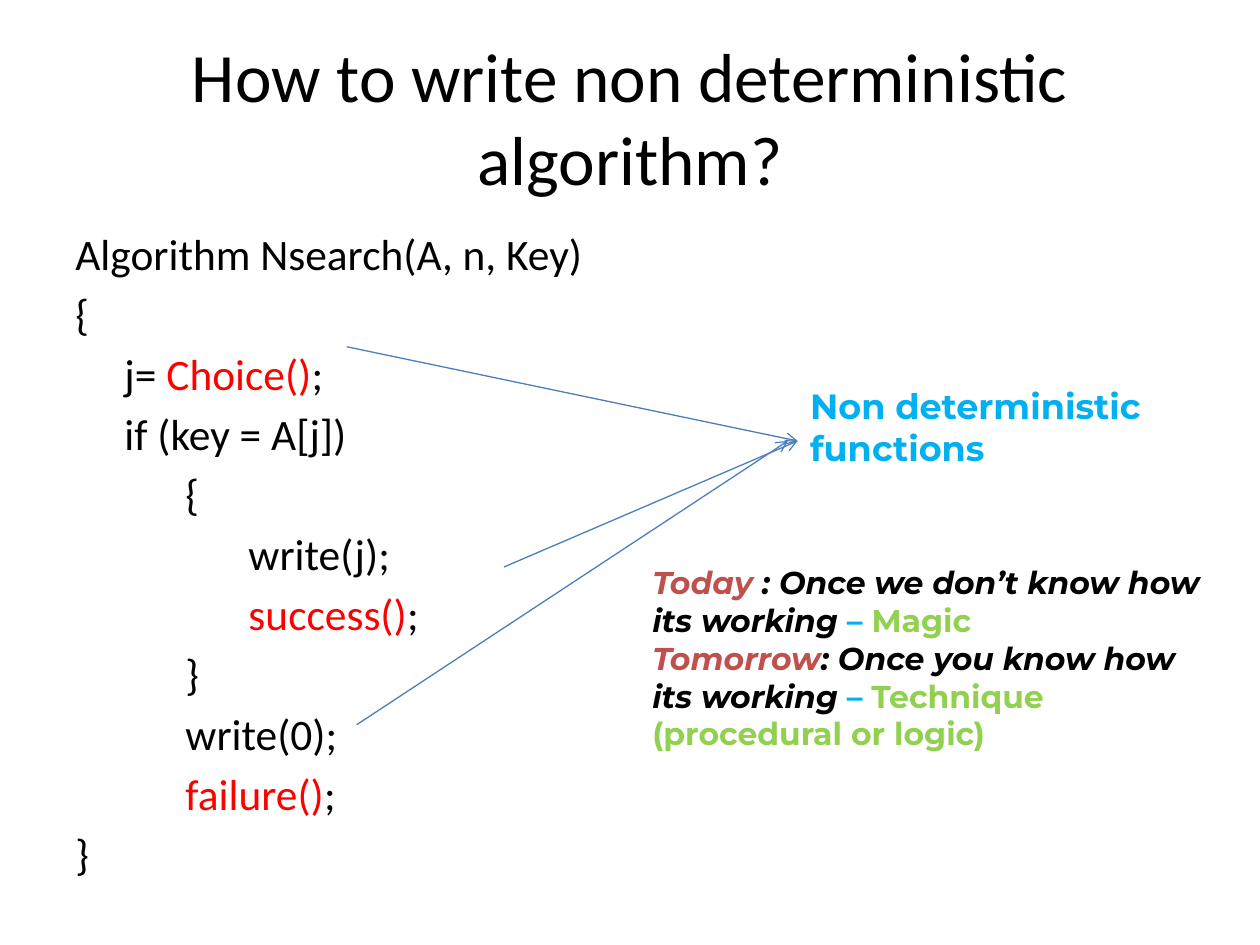
from dataclasses import dataclass
from typing import NamedTuple

from lxml import etree
from pptx import Presentation
from pptx.dml.color import RGBColor
from pptx.enum.shapes import MSO_CONNECTOR
from pptx.enum.text import MSO_ANCHOR, MSO_AUTO_SIZE, PP_ALIGN
from pptx.oxml.ns import qn
from pptx.util import Cm, Pt

STRAIGHT = MSO_CONNECTOR.STRAIGHT
TOP, MIDDLE = MSO_ANCHOR.TOP, MSO_ANCHOR.MIDDLE
LEFT, CENTER = PP_ALIGN.LEFT, PP_ALIGN.CENTER
NO_FIT, GROW = MSO_AUTO_SIZE.NONE, MSO_AUTO_SIZE.SHAPE_TO_FIT_TEXT

BLACK = RGBColor(0x00, 0x00, 0x00)
RED = RGBColor(0xFF, 0x00, 0x00)
SKY = RGBColor(0x00, 0xB0, 0xF0)
BRICK = RGBColor(0xC0, 0x50, 0x4D)
GREEN = RGBColor(0x92, 0xD0, 0x50)
ARROW_BLUE = RGBColor(0x4B, 0x7E, 0xBC)


class Span(NamedTuple):
    text: str
    color: RGBColor = BLACK
    italic: bool = False


class Arrow(NamedTuple):
    start_x: float
    start_y: float
    end_x: float
    end_y: float


@dataclass
class TextBlock:
    left: float
    top: float
    width: float
    height: float
    font: str
    size: float
    lines: list[list[Span]]
    bold: bool = False
    align: PP_ALIGN = LEFT
    anchor: MSO_ANCHOR = TOP
    fit: MSO_AUTO_SIZE = NO_FIT
    gap: float = 0
    hanging: float = 0


def call_line(indent: str, call: str) -> list[Span]:
    return [Span(indent), Span(call, RED), Span(";")]


TITLE = TextBlock(
    1.27, 0.76, 22.86, 3.18, "Calibri", 39.6,
    [[Span("How to write non deterministic algorithm?")]],
    align=CENTER, anchor=MIDDLE,
)
ALGORITHM = TextBlock(
    1.27, 4.45, 22.86, 12.57, "Calibri", 24.8,
    [
        [Span("Algorithm Nsearch(A, n, Key)")],
        [Span("{")],
        call_line("     j= ", "Choice()"),
        [Span("     if (key = A[j])")],
        [Span("\t\t{")],
        [Span("\t\t\twrite(j);")],
        call_line("\t\t\t", "success()"),
        [Span("\t\t}")],
        [Span("\t\twrite(0);")],
        call_line("\t\t", "failure()"),
        [Span("}")],
    ],
    gap=4.5, hanging=0.95,
)
FUNCTIONS_LABEL = TextBlock(
    16.08, 7.62, 8.26, 2.82, "Montserrat", 20,
    [[Span("Non deterministic", SKY)], [Span("functions", SKY)]],
    bold=True, fit=GROW,
)
MAGIC_NOTE = TextBlock(
    12.9, 11.23, 11.63, 4.88, "Montserrat", 18,
    [
        [
            Span("Today ", BRICK, True),
            Span(": Once we don’t know how its working", BLACK, True),
            Span(" – ", SKY),
            Span("Magic", GREEN),
        ],
        [
            Span("Tomorrow", BRICK, True),
            Span(": Once you know how its working ", BLACK, True),
            Span("– ", SKY),
            Span("Technique (procedural or logic)", GREEN),
        ],
    ],
    bold=True, fit=GROW,
)
ARROWS = [
    Arrow(6.99, 6.99, 16.08, 8.89),
    Arrow(10.16, 11.43, 16.08, 8.89),
    Arrow(7.19, 14.61, 15.88, 8.89),
]


def draw_text(page, block: TextBlock) -> None:
    box = page.shapes.add_textbox(
        Cm(block.left), Cm(block.top), Cm(block.width), Cm(block.height)
    )
    frame = box.text_frame
    frame.word_wrap = True
    frame.auto_size = block.fit
    frame.vertical_anchor = block.anchor
    for index, line in enumerate(block.lines):
        para = frame.add_paragraph() if index else frame.paragraphs[0]
        para.alignment = block.align
        if index and block.gap:
            para.space_before = Pt(block.gap)
        if block.hanging:
            properties = para._p.get_or_add_pPr()
            properties.set("marL", str(Cm(block.hanging)))
            properties.set("indent", str(-Cm(block.hanging)))
        para.font.name = block.font
        para.font.size = Pt(block.size)
        para.font.bold = block.bold
        for span in line:
            run = para.add_run()
            run.text = span.text
            run.font.color.rgb = span.color
            if span.italic:
                run.font.italic = True


def draw_arrow(page, arrow: Arrow) -> None:
    connector = page.shapes.add_connector(STRAIGHT, *(Cm(value) for value in arrow))
    connector.line.color.rgb = ARROW_BLUE
    connector.line.width = Pt(0.75)
    etree.SubElement(connector.line._get_or_add_ln(), qn("a:tailEnd"), type="arrow")
    etree.SubElement(connector._element.spPr, qn("a:effectLst"))


def main() -> None:
    deck = Presentation()
    deck.slide_width, deck.slide_height = Cm(25.4), Cm(19.05)
    page = deck.slides.add_slide(deck.slide_layouts[6])
    for block in (TITLE, ALGORITHM):
        draw_text(page, block)
    for arrow in ARROWS:
        draw_arrow(page, arrow)
    for block in (FUNCTIONS_LABEL, MAGIC_NOTE):
        draw_text(page, block)
    deck.save("out.pptx")


if __name__ == "__main__":
    main()
